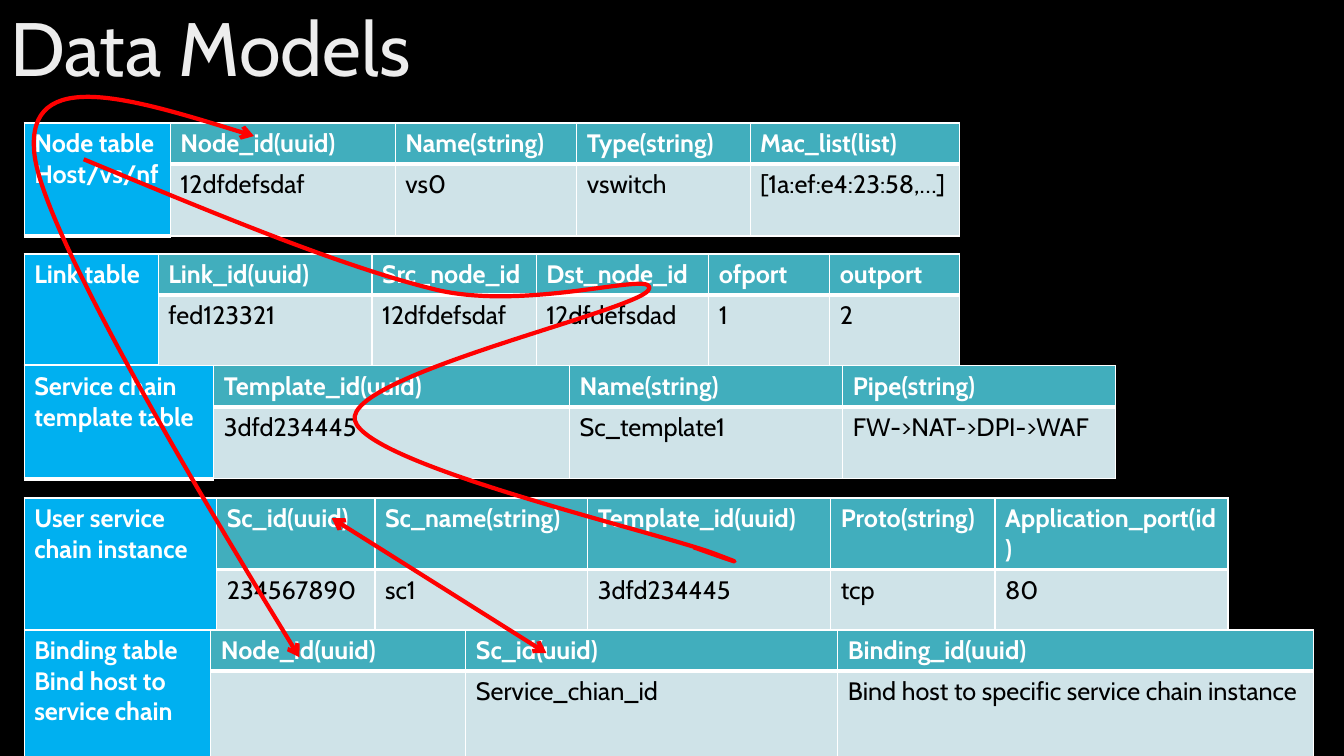
from pptx import Presentation
from pptx.dml.color import RGBColor
from pptx.enum import shapes, text
from pptx.oxml import ns
from pptx.util import Inches, Pt
from lxml import etree

BLACK = RGBColor(0x00, 0x00, 0x00)
WHITE = RGBColor(0xFF, 0xFF, 0xFF)
PALE_GREY = RGBColor(0xED, 0xED, 0xED)
BLUE = RGBColor(0x00, 0xB0, 0xF0)
TEAL = RGBColor(0x41, 0xAE, 0xBD)
PALE_TEAL = RGBColor(0xCF, 0xE3, 0xE8)
RED = RGBColor(0xFF, 0x00, 0x00)

FONT = "Cabin"
TABLE_LEFT = 0.24
HEADER_HEIGHT = 0.41
BODY_HEIGHT = 0.7

# top, column widths, name, fields, values
MODELS = [
    (1.22, [1.45, 2.23, 1.8, 1.72, 2.08], "Node table\nHost/vs/nf",
     ["Node_id(uuid)", "Name(string)", "Type(string)", "Mac_list(list)"],
     ["12dfdefsdaf", "vs0", "vswitch", "[1a:ef:e4:23:58,…]"]),
    (2.52, [1.33, 2.12, 1.63, 1.71, 1.2, 1.29], "Link table",
     ["Link_id(uuid)", "Src_node_id", "Dst_node_id", "ofport", "outport"],
     ["fed123321", "12dfdefsdaf", "12dfdefsdad", "1", "2"]),
    (3.63, [1.88, 3.53, 2.71, 2.7], "Service chain template table",
     ["Template_id(uuid)", "Name(string)", "Pipe(string)"],
     ["3dfd234445", "Sc_template1", "FW->NAT->DPI->WAF"]),
    (4.94, [1.91, 1.57, 2.11, 2.41, 1.63, 2.31], "User service chain instance",
     ["Sc_id(uuid)", "Sc_name(string)", "Template_id(uuid)", "Proto(string)",
      "Application_port(id)"],
     ["234567890", "sc1", "3dfd234445", "tcp", "80"]),
    (6.25, [1.85, 2.53, 3.69, 4.72], "Binding table\nBind host to service chain",
     ["Node_id(uuid)", "Sc_id(uuid)", "Binding_id(uuid)"],
     ["", "Service_chian_id", "Bind host to specific service chain instance"]),
]

# Each curve is a start point followed by pairs of control points and an end point
TEMPLATE_BOX = (0.83, 1.58, 6.45, 3.99)
TEMPLATE_CURVE = [
    (0.83, 1.58), (2.13, 2.12), (3.42, 2.66), (4.35, 2.88),
    (5.29, 3.09), (6.57, 2.66), (6.43, 2.88),
    (6.29, 3.09), (3.42, 3.73), (3.52, 4.17),
    (3.63, 4.61), (6.52, 5.28), (7.08, 5.49),
    (7.64, 5.7), (6.88, 5.43), (6.88, 5.43),
]
NODE_BOX = (0.33, 0.97, 2.63, 5.55)
NODE_CURVE = [
    (2.52, 1.35), (1.39, 1), (0.26, 0.65), (0.34, 1.51),
    (0.41, 2.37), (2.97, 6.52), (2.97, 6.52),
]


def write_text(frame, content, size=18, color=BLACK, bold=False):
    for index, line in enumerate(content.split("\n")):
        para = frame.paragraphs[0] if index == 0 else frame.add_paragraph()
        if line:
            span = para.add_run()
            span.text = line
            span.font.name = FONT
            span.font.size = Pt(size)
            span.font.bold = bold
            span.font.color.rgb = color


def add_borders(cell, top=1, bottom=1):
    properties = cell._tc.get_or_add_tcPr()
    for side, width in (("L", 1), ("R", 1), ("T", top), ("B", bottom)):
        line = etree.SubElement(properties, ns.qn(f"a:ln{side}"), w=str(Pt(width)))
        fill = etree.SubElement(line, ns.qn("a:solidFill"))
        etree.SubElement(fill, ns.qn("a:srgbClr"), val=str(WHITE))


def format_cell(cell, content, fill, top=1, bottom=1, **font):
    add_borders(cell, top, bottom)
    cell.fill.solid()
    cell.fill.fore_color.rgb = fill
    write_text(cell.text_frame, content, **font)


def add_model(page, top, widths, name, fields, values):
    frame = page.shapes.add_table(2, len(widths), Inches(TABLE_LEFT), Inches(top),
                                  Inches(sum(widths)), Inches(HEADER_HEIGHT + BODY_HEIGHT))
    table = frame.table
    table.horz_banding = False
    for column, width in zip(table.columns, widths):
        column.width = Inches(width)
    for row, height in zip(table.rows, (HEADER_HEIGHT, BODY_HEIGHT)):
        row.height = Inches(height)
    table.cell(0, 0).merge(table.cell(1, 0))
    format_cell(table.cell(0, 0), name, BLUE, bottom=3, color=WHITE, bold=True)
    add_borders(table.cell(1, 0), bottom=3)
    for column, (field, value) in enumerate(zip(fields, values), start=1):
        format_cell(table.cell(0, column), field, TEAL, bottom=3, color=WHITE, bold=True)
        format_cell(table.cell(1, column), value, PALE_TEAL, top=3)


def format_line(shape, arrows):
    shape.line.color.rgb = RED
    shape.line.width = Pt(3)
    properties = shape._element.spPr
    if arrows:
        line = properties.find(ns.qn("a:ln"))
        for end in ("headEnd", "tailEnd"):
            etree.SubElement(line, ns.qn(f"a:{end}"), type="arrow")
    etree.SubElement(properties, ns.qn("a:effectLst"))


def add_curve(page, box, points, arrows=False):
    """Draw joined cubic curves as one open outline that fills the box."""
    builder = page.shapes.build_freeform(*map(Inches, points[0]))
    builder.add_line_segments([tuple(map(Inches, point)) for point in points[3::3]], close=False)
    curve = builder.convert_to_shape()
    left, top, width, height = map(Inches, box)
    curve.left, curve.top, curve.width, curve.height = left, top, width, height

    outline = curve._element.spPr.find(f".//{ns.qn('a:path')}")
    outline.set("w", str(width))
    outline.set("h", str(height))
    for segment in list(outline):
        outline.remove(segment)
    segments = [("moveTo", points[:1])]
    segments += [("cubicBezTo", points[start:start + 3]) for start in range(1, len(points), 3)]
    for kind, corners in segments:
        segment = etree.SubElement(outline, ns.qn(f"a:{kind}"))
        for x, y in corners:
            etree.SubElement(segment, ns.qn("a:pt"),
                             x=str(Inches(x) - left), y=str(Inches(y) - top))
    curve.fill.background()
    format_line(curve, arrows)


def add_title(page, content):
    title = page.shapes.title
    title.left, title.top = Inches(0), Inches(-0.21)
    title.width, title.height = Inches(11.5), Inches(1.45)
    frame = title.text_frame
    frame.word_wrap = True
    frame.vertical_anchor = text.MSO_ANCHOR.MIDDLE
    write_text(frame, content, size=54, color=PALE_GREY)
    frame.paragraphs[0].alignment = text.PP_ALIGN.LEFT
    frame.paragraphs[0].line_spacing = 0.9


def main():
    deck = Presentation()
    deck.slide_width, deck.slide_height = Inches(13.33), Inches(7.5)
    page = deck.slides.add_slide(deck.slide_layouts[5])
    page.background.fill.solid()
    page.background.fill.fore_color.rgb = BLACK

    add_title(page, "Data Models")
    for model in MODELS:
        add_model(page, *model)
    add_curve(page, TEMPLATE_BOX, TEMPLATE_CURVE)
    add_curve(page, NODE_BOX, NODE_CURVE, arrows=True)
    chain_arrow = page.shapes.add_connector(
        shapes.MSO_CONNECTOR.STRAIGHT,
        Inches(3.29), Inches(5.14), Inches(5.42), Inches(6.48))
    format_line(chain_arrow, arrows=True)
    deck.save("out.pptx")


if __name__ == "__main__":
    main()
